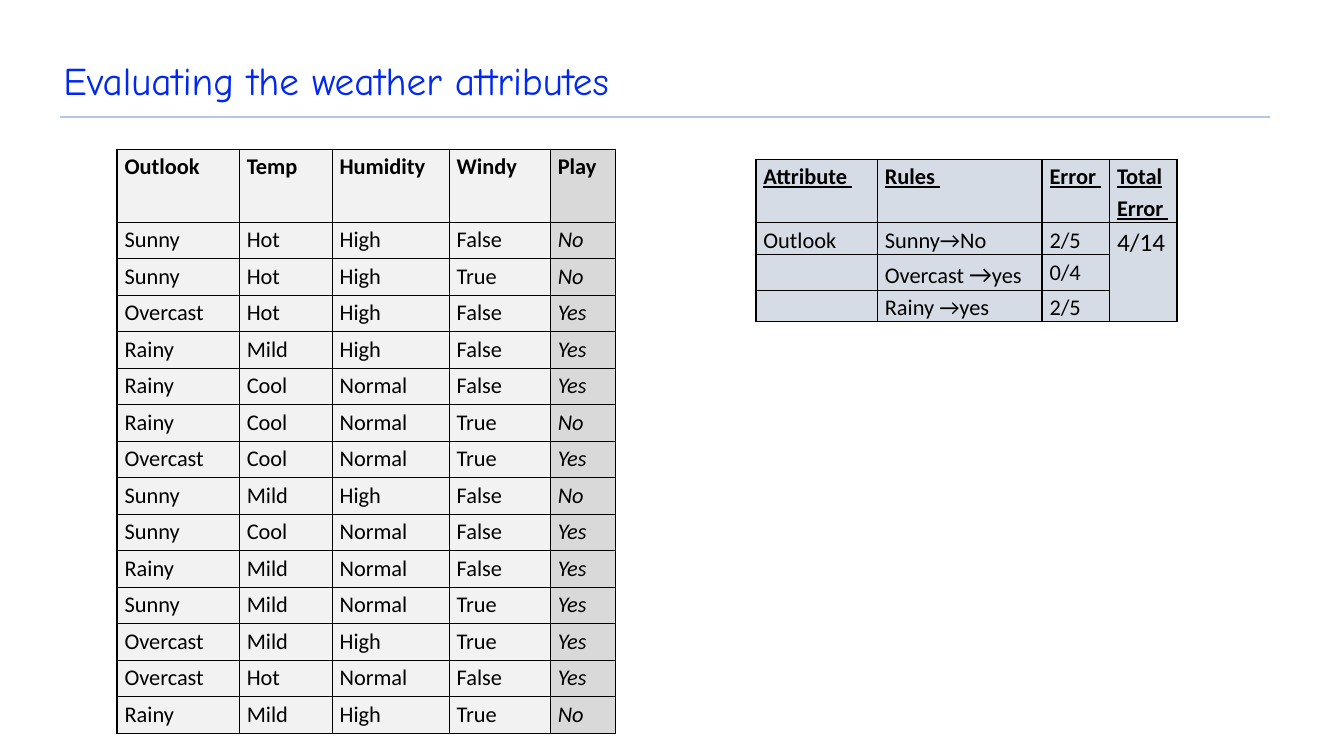
from dataclasses import dataclass

from lxml import etree
from pptx import Presentation, util as u
from pptx.dml import color
from pptx.enum import shapes
from pptx.oxml import ns


@dataclass(frozen=True)
class Theme:
    title: str = "0028F0"
    rule: str = "B4C7E7"
    ink: str = "000000"
    pale: str = "F2F2F2"
    grey: str = "D9D9D9"
    blue: str = "D6DCE5"
    head: int = 28
    large: int = 18
    body: int = 16
    hand: str = "Comic Neue"
    sans: str = "Calibri"


THEME = Theme()

WEATHER = """Outlook Temp Humidity Windy Play
Sunny Hot High False No
Sunny Hot High True No
Overcast Hot High False Yes
Rainy Mild High False Yes
Rainy Cool Normal False Yes
Rainy Cool Normal True No
Overcast Cool Normal True Yes
Sunny Mild High False No
Sunny Cool Normal False Yes
Rainy Mild Normal False Yes
Sunny Mild Normal True Yes
Overcast Mild High True Yes
Overcast Hot Normal False Yes
Rainy Mild High True No"""

RULES = [
    ["Attribute ", "Rules ", "Error ", "Total Error "],
    ["Outlook", "Sunny→No", "2/5", "4/14"],
    ["", "Overcast →yes", "0/4", ""],
    ["", "Rainy →yes", "2/5", ""],
]


def apply(item, values):
    for name, value in values.items():
        setattr(item, name, value)


def add_run(para, words, tint, **form):
    run = para.add_run()
    run.text = words
    apply(run.font, form)
    run.font.color.rgb = color.RGBColor.from_string(tint)


def add_title(slide, words):
    box = slide.shapes.add_textbox(u.Cm(1.35), u.Cm(1.3), u.Cm(21.8), u.Cm(2.72))
    box.text_frame.word_wrap = True
    add_run(box.text_frame.paragraphs[0], words, THEME.title,
            name=THEME.hand, size=u.Pt(THEME.head))


def add_rule(slide):
    line = slide.shapes.add_connector(
        shapes.MSO_CONNECTOR.STRAIGHT,
        u.Cm(1.5), u.Cm(2.95), u.Cm(32), u.Cm(2.95))
    line.line.color.rgb = color.RGBColor.from_string(THEME.rule)
    line.line.width = u.Pt(2)
    etree.SubElement(line._element.spPr, ns.qn("a:effectLst"))


def add_edges(cell):
    props = cell._tc.get_or_add_tcPr()
    for at, side in enumerate(("lnL", "lnR", "lnT", "lnB")):
        edge = etree.Element(ns.qn("a:" + side), w=str(u.Pt(1)))
        fill = etree.SubElement(edge, ns.qn("a:solidFill"))
        etree.SubElement(fill, ns.qn("a:srgbClr"), val=THEME.ink)
        props.insert(at, edge)


def fill_cell(cell, runs, fill, **form):
    apply(cell, {"margin_left": u.Cm(0.19), "margin_right": u.Cm(0.19),
                 "margin_top": 0, "margin_bottom": 0})
    cell.fill.solid()
    cell.fill.fore_color.rgb = color.RGBColor.from_string(fill)
    add_edges(cell)
    para = cell.text_frame.paragraphs[0]
    apply(para, {"line_spacing": 1.15, "space_after": u.Pt(10)})
    for words, size in runs:
        add_run(para, words, THEME.ink, name=THEME.sans, size=u.Pt(size), **form)


def add_grid(slide, left, top, widths, heights):
    frame = slide.shapes.add_table(
        len(heights), len(widths), u.Cm(left), u.Cm(top),
        u.Cm(sum(widths)), u.Cm(sum(heights)))
    grid = frame.table
    apply(grid, {"first_row": False, "horz_banding": False})
    for col, width in zip(grid.columns, widths):
        col.width = u.Cm(width)
    for row, height in zip(grid.rows, heights):
        row.height = u.Cm(height)
    return grid


def add_weather(slide):
    rows = [line.split() for line in WEATHER.splitlines()]
    grid = add_grid(slide, 2.95, 3.76, [3.08, 2.34, 2.95, 2.55, 1.64],
                    [1.84] + [0.92] * (len(rows) - 1))
    for r, row in enumerate(rows):
        for c, words in enumerate(row):
            play = c == len(row) - 1
            fill_cell(grid.cell(r, c), [(words, THEME.body)],
                      THEME.grey if play else THEME.pale,
                      bold=r == 0, italic=play and r > 0)


def split_runs(words):
    if words == "4/14":
        return [(words, THEME.large)]
    if words.startswith("Overcast"):
        left, arrow, right = words.partition("→")
        return [(left, THEME.body), (arrow, THEME.large), (right, THEME.body)]
    return [(words, THEME.body)] if words else []


def add_rules(slide):
    grid = add_grid(slide, 19.05, 4.02, [3.06, 4.15, 1.7, 1.7],
                    [1.59, 0.81, 0.89, 0.79])
    for r, row in enumerate(RULES):
        for c, words in enumerate(row):
            fill_cell(grid.cell(r, c), split_runs(words), THEME.blue,
                      bold=r == 0, underline=r == 0)
    grid.cell(1, 3).merge(grid.cell(3, 3))


def main():
    deck = Presentation()
    apply(deck, {"slide_width": u.Cm(33.87), "slide_height": u.Cm(19.05)})
    slide = deck.slides.add_slide(deck.slide_layouts[6])
    add_rule(slide)
    add_title(slide, "Evaluating the weather attributes")
    add_weather(slide)
    add_rules(slide)
    deck.save("out.pptx")


if __name__ == "__main__":
    main()
